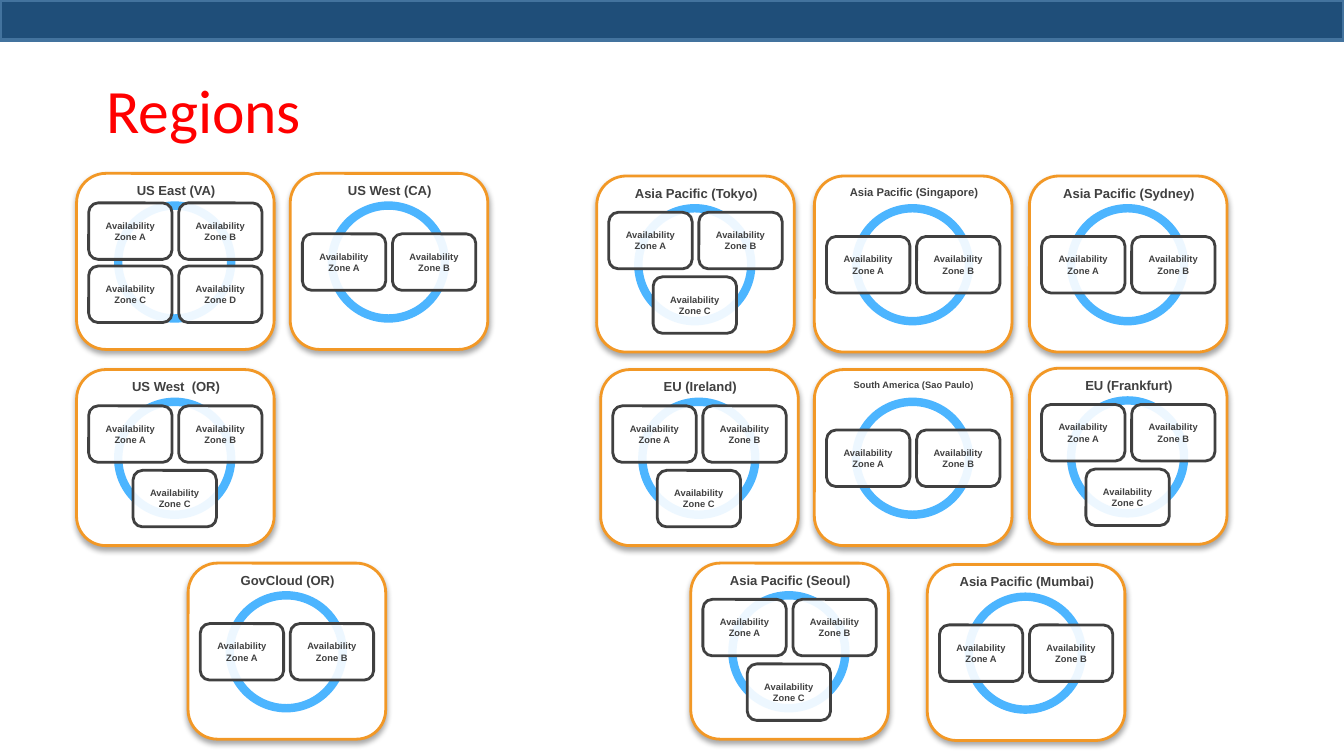
from dataclasses import dataclass

from lxml import etree
from pptx import Presentation
from pptx.dml.color import RGBColor
from pptx.enum.shapes import MSO_SHAPE
from pptx.enum.text import MSO_ANCHOR, PP_ALIGN
from pptx.oxml.ns import qn
from pptx.shapes.autoshape import Shape
from pptx.shapes.shapetree import GroupShapes, SlideShapes
from pptx.util import Inches, Pt

RECTANGLE = MSO_SHAPE.RECTANGLE
ROUNDED = MSO_SHAPE.ROUNDED_RECTANGLE
OVAL = MSO_SHAPE.OVAL
MIDDLE = MSO_ANCHOR.MIDDLE
CENTER = PP_ALIGN.CENTER
LEFT = PP_ALIGN.LEFT

WHITE = RGBColor(0xFF, 0xFF, 0xFF)
NAVY = RGBColor(0x1F, 0x4E, 0x79)
STEEL = RGBColor(0x43, 0x73, 0x9E)
ORANGE = RGBColor(0xF2, 0x98, 0x26)
SKY = RGBColor(0x4C, 0xB5, 0xFF)
CHARCOAL = RGBColor(0x40, 0x40, 0x40)
RED = RGBColor(0xFF, 0x00, 0x00)

ZONE_LEFT, ZONE_MIDDLE, ZONE_RIGHT = 0.09, 0.42, 0.76
ZONE_LAYOUTS = {
    2: [(ZONE_LEFT, 0.45), (ZONE_RIGHT, 0.45)],
    3: [(ZONE_LEFT, 0.27), (ZONE_RIGHT, 0.27), (ZONE_MIDDLE, 0.75)],
    4: [(ZONE_LEFT, 0.22), (ZONE_RIGHT, 0.22), (ZONE_LEFT, 0.69), (ZONE_RIGHT, 0.69)],
}


@dataclass
class Region:
    name: str
    left: float
    top: float
    zones: int
    size: int = 7


REGIONS = [
    Region("EU (Ireland)", 4.47, 2.75, 3),
    Region("South America (Sao Paulo)", 6.06, 2.75, 2, 5),
    Region("Asia Pacific (Sydney)", 7.66, 1.31, 2),
    Region("GovCloud (OR)", 1.4, 4.19, 2),
    Region("US East (VA)", 0.57, 1.29, 4),
    Region("US West (CA)", 2.16, 1.29, 2),
    Region("Asia Pacific (Singapore)", 6.06, 1.31, 2, 6),
    Region("Asia Pacific (Tokyo)", 4.44, 1.31, 3),
    Region("US West  (OR)", 0.57, 2.75, 3),
    Region("EU (Frankfurt)", 7.66, 2.74, 3),
    Region("Asia Pacific (Seoul)", 5.14, 4.19, 3),
    Region("Asia Pacific (Mumbai)", 6.9, 4.2, 2),
]


def add_outline(shapes: SlideShapes | GroupShapes, kind: MSO_SHAPE, left: float, top: float,
                width: float, height: float, color: RGBColor, weight: float,
                fill: RGBColor | None = WHITE) -> Shape:
    shape = shapes.add_shape(kind, Inches(left), Inches(top), Inches(width), Inches(height))
    shape.shadow.inherit = False
    if fill is None:
        shape.fill.background()
    else:
        shape.fill.solid()
        shape.fill.fore_color.rgb = fill
    shape.line.color.rgb = color
    shape.line.width = Pt(weight)
    return shape


def add_shadow(shape: Shape) -> None:
    effects = shape._element.spPr.find(qn("a:effectLst"))
    shadow = etree.SubElement(effects, qn("a:outerShdw"), blurRad=str(Pt(3.1)),
                              dist=str(Pt(1.8)), dir="5400000", rotWithShape="0")
    color = etree.SubElement(shadow, qn("a:srgbClr"), val="000000")
    etree.SubElement(color, qn("a:alpha"), val="35000")


def set_opacity(shape: Shape, percent: int) -> None:
    color = shape._element.spPr.find(qn("a:solidFill")).find(qn("a:srgbClr"))
    etree.SubElement(color, qn("a:alpha"), val=str(percent * 1000))


def write_label(shape: Shape, text: str, size: int) -> None:
    shape.text_frame.word_wrap = True
    shape.text_frame.text = text
    paragraph = shape.text_frame.paragraphs[0]
    paragraph.alignment = CENTER
    paragraph.font.name = "Arial"
    paragraph.font.size = Pt(size)
    paragraph.font.bold = True
    paragraph.font.color.rgb = CHARCOAL


def draw_zone(shapes: GroupShapes, letter: str, left: float, top: float) -> None:
    zone = add_outline(shapes, ROUNDED, left, top, 0.62, 0.42, CHARCOAL, 1.5)
    set_opacity(zone, 90)
    zone.text_frame.vertical_anchor = MIDDLE
    zone.text_frame.margin_left = zone.text_frame.margin_right = Inches(0.05)
    write_label(zone, f"Availability Zone {letter}", 5)


def draw_region(shapes: SlideShapes, region: Region) -> None:
    members = shapes.add_group_shape().shapes
    left, top = region.left, region.top
    card = add_outline(members, ROUNDED, left, top, 1.47, 1.31, ORANGE, 1.5)
    add_shadow(card)
    add_outline(members, OVAL, left + 0.31, top + 0.24, 0.84, 0.84, SKY, 4.5, None)
    for letter, (across, down) in zip("ABCD", ZONE_LAYOUTS[region.zones]):
        draw_zone(members, letter, left + across, top + down)
    heading = members.add_textbox(Inches(left + 0.12), Inches(top + 0.02),
                                  Inches(1.24), Inches(0.22))
    write_label(heading, region.name, region.size)


def draw_title(title: Shape, text: str) -> None:
    title.left, title.top = Inches(0.69), Inches(0.3)
    title.width, title.height = Inches(8.62), Inches(1.09)
    title.text_frame.text = text
    title.text_frame.vertical_anchor = MIDDLE
    paragraph = title.text_frame.paragraphs[0]
    paragraph.alignment = LEFT
    paragraph.line_spacing = 0.9
    paragraph.font.name = "Calibri"
    paragraph.font.size = Pt(33)
    paragraph.font.color.rgb = RED


def main() -> None:
    deck = Presentation()
    deck.slide_width = Inches(10)
    deck.slide_height = deck.slide_width * 9 // 16
    page = deck.slides.add_slide(deck.slide_layouts[5])
    add_outline(page.shapes, RECTANGLE, 0, 0, 10, 0.3, STEEL, 2, NAVY)
    draw_title(page.shapes.title, "Regions")
    for region in REGIONS:
        draw_region(page.shapes, region)
    deck.save("out.pptx")


if __name__ == "__main__":
    main()
